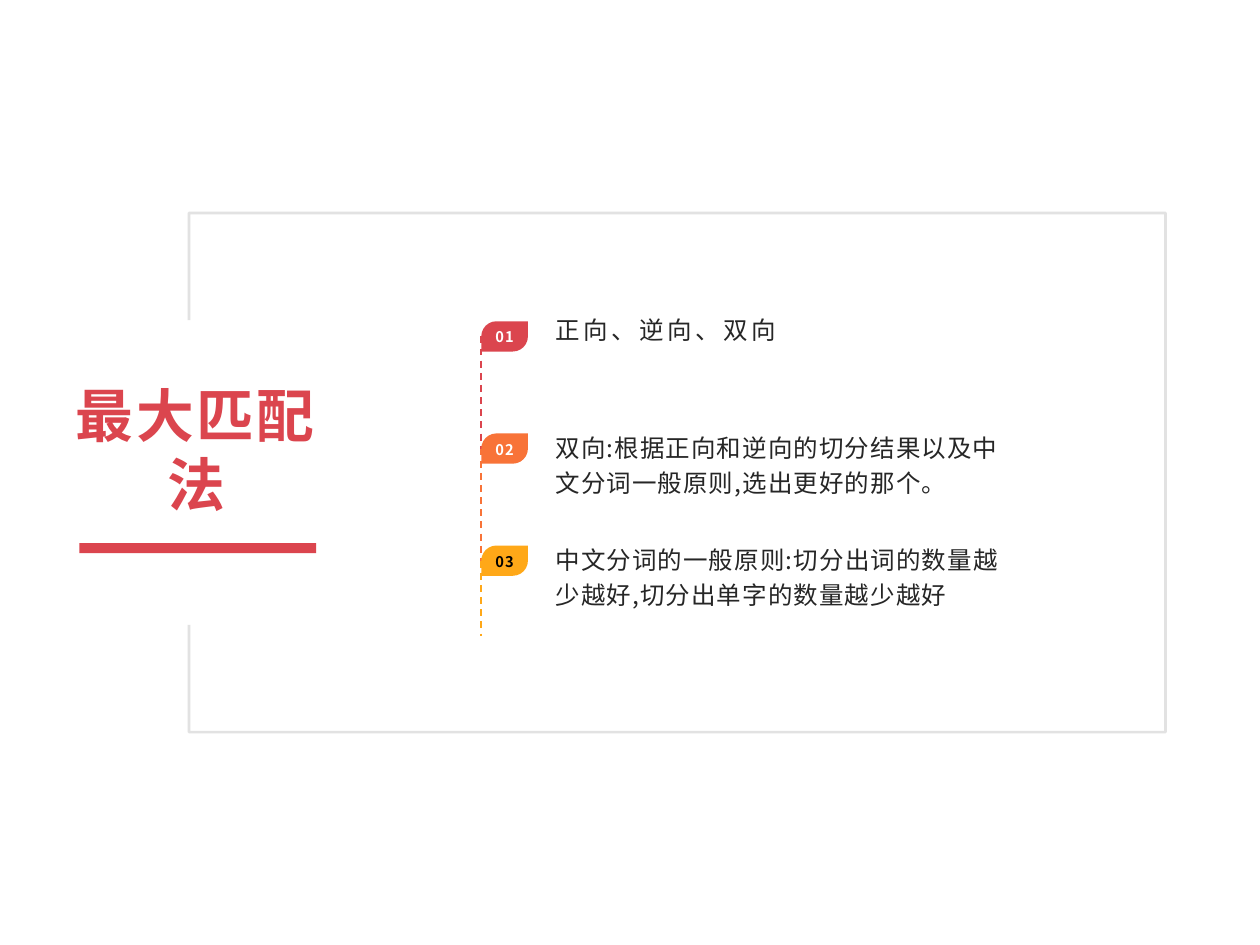
from dataclasses import dataclass

from lxml.etree import SubElement
from pptx import Presentation
from pptx.dml.color import RGBColor
from pptx.enum.dml import MSO_LINE
from pptx.enum.shapes import MSO_CONNECTOR, MSO_SHAPE
from pptx.enum.text import MSO_ANCHOR, PP_ALIGN
from pptx.oxml.ns import qn
from pptx.slide import Slide
from pptx.util import Inches, Pt

FONT = "Noto Sans CJK SC"
COLORS = {
    "red": "DB454E",
    "orange": "F87338",
    "yellow": "FFA818",
    "frame": "D9D9D9",
    "body": "262626",
    "white": "FFFFFF",
    "black": "000000",
}
TAG_LEFT, TAG_TOP, TAG_WIDTH, TAG_HEIGHT = 3.82, 2.55, 0.37, 0.24
ROW_STEP = 0.89
TIMELINE_END = 5.05


@dataclass(frozen=True)
class Box:
    left: float
    top: float
    width: float
    height: float

    def lengths(self) -> list[Inches]:
        return [Inches(value) for value in (self.left, self.top, self.width, self.height)]


@dataclass(frozen=True)
class TextStyle:
    size: float
    color: str
    spacing: float
    bold: bool = False
    align: PP_ALIGN = PP_ALIGN.LEFT
    anchor: MSO_ANCHOR = MSO_ANCHOR.TOP
    line_spacing: float = 1.0
    space_after: float = 0


@dataclass(frozen=True)
class Point:
    text: str
    color: str
    number_color: str
    spacing: float
    line_spacing: float


POINTS = [
    Point("正向、逆向、双向", "red", "white", 2, 1.0),
    Point("双向:根据正向和逆向的切分结果以及中文分词一般原则,选出更好的那个。",
          "orange", "white", 0.6, 1.2),
    Point("中文分词的一般原则:切分出词的数量越少越好,切分出单字的数量越少越好",
          "yellow", "black", 0.6, 1.2),
]


def rgb(name: str) -> RGBColor:
    return RGBColor.from_string(COLORS[name])


def add_text(slide: Slide, box: Box, text: str, style: TextStyle,
             insets: tuple[float, float] = (0.1, 0.05)) -> None:
    """Insets are horizontal and vertical, in inches."""
    frame = slide.shapes.add_textbox(*box.lengths()).text_frame
    frame.word_wrap = True
    frame.vertical_anchor = style.anchor
    frame.margin_left = frame.margin_right = Inches(insets[0])
    frame.margin_top = frame.margin_bottom = Inches(insets[1])
    paragraph = frame.paragraphs[0]
    paragraph.alignment = style.align
    paragraph.line_spacing = style.line_spacing
    paragraph.space_after = Pt(style.space_after)
    run = paragraph.add_run()
    run.text = text
    run.font.name = FONT
    run.font.size = Pt(style.size)
    run.font.bold = style.bold
    run.font.color.rgb = rgb(style.color)
    properties = run.font._element
    properties.set("spc", str(round(style.spacing * 100)))
    SubElement(properties, qn("a:ea")).set("typeface", FONT)


def add_filled_shape(slide: Slide, kind: MSO_SHAPE, box: Box, color: str,
                     adjustments: tuple[float, ...] = ()) -> None:
    shape = slide.shapes.add_shape(kind, *box.lengths())
    shape.shadow.inherit = False
    shape.fill.solid()
    shape.fill.fore_color.rgb = rgb(color)
    shape.line.fill.background()
    for index, value in enumerate(adjustments):
        shape.adjustments[index] = value


def add_open_frame(slide: Slide) -> None:
    """Draw the translucent frame, open on the left around the title."""
    left, top, right, bottom = 1.5, 1.69, 9.25, 5.81
    builder = slide.shapes.build_freeform(Inches(left), Inches(2.54))
    corners = [(left, top), (right, top), (right, bottom), (left, bottom), (left, 4.96)]
    builder.add_line_segments([(Inches(x), Inches(y)) for x, y in corners], close=False)
    shape = builder.convert_to_shape()
    shape.shadow.inherit = False
    shape.fill.background()
    shape.line.width = Pt(1.5)
    shape.line.color.rgb = rgb("frame")
    color = shape._element.spPr.find(".//" + qn("a:ln")).find(".//" + qn("a:srgbClr"))
    SubElement(color, qn("a:alpha")).set("val", "75000")


def add_dashed_line(slide: Slide, top: float, bottom: float, color: str) -> None:
    line = slide.shapes.add_connector(
        MSO_CONNECTOR.STRAIGHT, Inches(TAG_LEFT), Inches(top), Inches(TAG_LEFT), Inches(bottom))
    line.line.width = Pt(1)
    line.line.color.rgb = rgb(color)
    line.line.dash_style = MSO_LINE.DASH
    SubElement(line._element.spPr, qn("a:effectLst"))


def add_point(slide: Slide, index: int, point: Point) -> None:
    top = TAG_TOP + index * ROW_STEP
    middle = top + TAG_HEIGHT / 2
    add_dashed_line(slide, middle, min(middle + ROW_STEP, TIMELINE_END), point.color)
    add_filled_shape(slide, MSO_SHAPE.ROUND_2_DIAG_RECTANGLE,
                     Box(TAG_LEFT, top, TAG_WIDTH, TAG_HEIGHT), point.color, (0.5, 0))
    add_text(slide, Box(TAG_LEFT, top - 0.01, TAG_WIDTH, 0.27), f"{index + 1:02}",
             TextStyle(8.4, point.number_color, 0.6, bold=True, align=PP_ALIGN.CENTER,
                       anchor=MSO_ANCHOR.MIDDLE, space_after=8))
    add_text(slide, Box(4.31, top - 0.1, 3.75, 0.68), point.text,
             TextStyle(14, "body", point.spacing, line_spacing=point.line_spacing,
                       space_after=8))


def main() -> None:
    presentation = Presentation()
    presentation.slide_width = Inches(10)
    presentation.slide_height = Inches(7.5)
    slide = presentation.slides.add_slide(presentation.slide_layouts[6])
    add_filled_shape(slide, MSO_SHAPE.RECTANGLE, Box(0.63, 4.31, 1.88, 0.08), "red")
    add_open_frame(slide)
    add_text(slide, Box(0.5, 2.94, 2.12, 1.25), "最大匹配法",
             TextStyle(33, "red", 1.6, bold=True, align=PP_ALIGN.CENTER,
                       anchor=MSO_ANCHOR.MIDDLE), insets=(0.05, 0.02))
    for index, point in enumerate(POINTS):
        add_point(slide, index, point)
    presentation.save("out.pptx")


if __name__ == "__main__":
    main()
